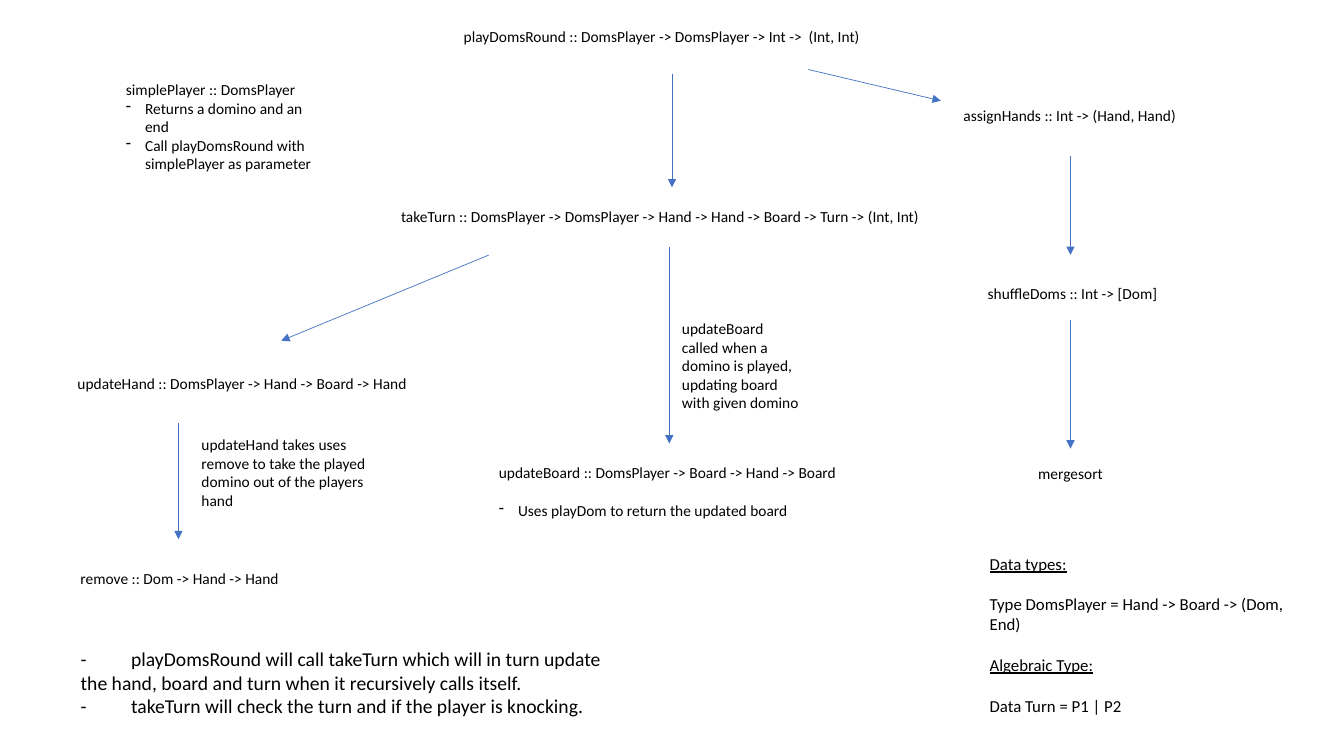
from dataclasses import dataclass, field
from typing import Any

import lxml.etree
import pptx
import pptx.dml.color
import pptx.enum.shapes
import pptx.enum.text
import pptx.oxml.ns
import pptx.util

WIDTH, HEIGHT = pptx.util.Inches(13.33), pptx.util.Inches(7.5)


@dataclass(frozen=True)
class Theme:
    font: str = "Calibri"
    ink: str = "000000"
    arrow: str = "4472C4"
    arrow_width: float = 0.5
    label: float = 11
    types: float = 12
    summary: float = 14
    line_height: float = 1.22
    dash_indent: float = 0.19
    tab_stop: float = 0.24


THEME = Theme()


@dataclass(frozen=True)
class Line:
    text: str
    bullet: bool = False
    underline: bool = False
    gap: bool = False  # one line of space above


@dataclass(frozen=True)
class Block:
    """Left, top, width and height are percentages of the slide."""
    left: float
    top: float
    width: float
    height: float
    lines: list[Line] = field(default_factory=list)
    size: float = THEME.label


@dataclass(frozen=True)
class Arrow:
    """Both ends are percentages of the slide."""
    x1: float
    y1: float
    x2: float
    y2: float


ROW, SIGNATURE = 3.87, 27.23  # height and width of a one-line signature
LEFT, SHUFFLE_COLUMN = 5.25, 79.65
LEAF_TOP = 60.67

TITLE = Block(33.75, 2.93, 32.5, ROW, [
    Line("playDomsRound :: DomsPlayer -> DomsPlayer -> Int ->  (Int, Int)")])
SUMMARY = Block(LEFT, 84.93, 40.65, 13.87, [
    Line("-\tplayDomsRound will call takeTurn which will in turn update the "
         "hand, board and turn when it recursively calls itself."),
    Line("-\ttakeTurn will check the turn and if the player is knocking."),
], THEME.summary)

BLOCKS = [
    # Function signatures
    Block(29.1, 26.8, 41.85, ROW, [
        Line("takeTurn :: DomsPlayer -> DomsPlayer -> Hand -> Hand -> Board -> Turn -> (Int, Int)")]),
    Block(36.38, LEAF_TOP, SIGNATURE, 8.8, [
        Line("updateBoard :: DomsPlayer -> Board -> Hand -> Board"),
        Line("Uses playDom to return the updated board", bullet=True, gap=True)]),
    Block(5.03, 48.8, SIGNATURE, ROW, [Line("updateHand :: DomsPlayer -> Hand -> Board -> Hand")]),
    Block(LEFT, 74.67, SIGNATURE, ROW, [Line("remove :: Dom -> Hand -> Hand")]),
    Block(70.95, 13.33, SIGNATURE, ROW, [Line("assignHands :: Int -> (Hand, Hand)")]),
    Block(72.75, 36.93, SIGNATURE, ROW, [Line("shuffleDoms :: Int -> [Dom]")]),
    Block(76.5, LEAF_TOP, 23.5, ROW, [Line("mergesort")]),
    # Explanations
    Block(8.63, 10, 15.45, 13.73, [
        Line("simplePlayer :: DomsPlayer"),
        Line("Returns a domino and an end", bullet=True),
        Line("Call playDomsRound with simplePlayer as parameter", bullet=True)]),
    Block(14.25, 56.93, 15.68, 11.2, [
        Line("updateHand takes uses remove to take the played domino out of the players hand")]),
    Block(50, 41.6, 10.43, 13.73, [
        Line("updateBoard called when a domino is played, updating board with given domino")]),
    # Data types
    Block(72.9, 72.53, 25.2, 22.93, [
        Line("Data types:", underline=True),
        Line("Type DomsPlayer = Hand -> Board -> (Dom, End)", gap=True),
        Line("Algebraic Type:", underline=True, gap=True),
        Line("Data Turn = P1 | P2", gap=True)], THEME.types),
]

ARROWS = [
    Arrow(50, 9.73, 50, 24.8),
    Arrow(49.8, 32.67, 49.8, 58.67),
    Arrow(36.38, 33.73, 20.93, 45.07),
    Arrow(13.28, 56, 13.28, 71.33),
    Arrow(60.15, 9.2, 70, 13.33),
    Arrow(SHUFFLE_COLUMN, 20.67, SHUFFLE_COLUMN, 33.73),
    Arrow(SHUFFLE_COLUMN, 42.27, SHUFFLE_COLUMN, 59.33),
]


def across(share: float) -> int:
    return round(WIDTH * share / 100)


def down(share: float) -> int:
    return round(HEIGHT * share / 100)


def apply(target: Any, formats: dict[str, Any]) -> None:
    for name, value in formats.items():
        setattr(target, name, value)


def add_xml(parent: Any, tag: str, **attributes: str) -> Any:
    return lxml.etree.SubElement(parent, pptx.oxml.ns.qn(tag), attributes)


def mark_paragraph(para: Any, line: Line) -> None:
    """Set the dash bullet, or the tab stop of a typed dash."""
    properties = para._p.get_or_add_pPr()
    indent = pptx.util.Inches(THEME.dash_indent) if line.bullet else 0
    properties.set("marL", str(indent))
    properties.set("indent", str(-indent))
    if line.bullet:
        add_xml(properties, "a:buChar", char="-")
    else:
        add_xml(properties, "a:buNone")
    if "\t" in line.text:
        tabs = add_xml(properties, "a:tabLst")
        add_xml(tabs, "a:tab", pos=str(pptx.util.Inches(THEME.tab_stop)), algn="l")


def write_block(box: Any, block: Block) -> None:
    apply(box, {"left": across(block.left), "top": down(block.top),
                "width": across(block.width), "height": down(block.height)})
    frame = box.text_frame
    apply(frame, {"word_wrap": True,
                  "auto_size": pptx.enum.text.MSO_AUTO_SIZE.SHAPE_TO_FIT_TEXT,
                  "vertical_anchor": pptx.enum.text.MSO_ANCHOR.TOP})
    for index, line in enumerate(block.lines):
        para = frame.add_paragraph() if index else frame.paragraphs[0]
        gap = block.size * THEME.line_height if line.gap else 0
        apply(para, {"alignment": pptx.enum.text.PP_ALIGN.LEFT,
                     "space_before": pptx.util.Pt(gap)})
        mark_paragraph(para, line)
        span = para.add_run()
        span.text = line.text
        apply(span.font, {"name": THEME.font, "size": pptx.util.Pt(block.size),
                          "underline": line.underline})
        span.font.color.rgb = pptx.dml.color.RGBColor.from_string(THEME.ink)


def draw_arrow(page: Any, arrow: Arrow) -> None:
    connector = page.shapes.add_connector(
        pptx.enum.shapes.MSO_CONNECTOR.STRAIGHT,
        across(arrow.x1), down(arrow.y1), across(arrow.x2), down(arrow.y2))
    connector.line.width = pptx.util.Pt(THEME.arrow_width)
    connector.line.color.rgb = pptx.dml.color.RGBColor.from_string(THEME.arrow)
    add_xml(connector.line._get_or_add_ln(), "a:tailEnd", type="triangle")
    add_xml(connector._element.spPr, "a:effectLst")


deck = pptx.Presentation()
apply(deck, {"slide_width": WIDTH, "slide_height": HEIGHT})
page = deck.slides.add_slide(deck.slide_layouts[1])

# Root function and summary list
write_block(page.shapes.title, TITLE)
write_block(page.placeholders[1], SUMMARY)

# Call tree
for block in BLOCKS:
    write_block(page.shapes.add_textbox(0, 0, 0, 0), block)
for arrow in ARROWS:
    draw_arrow(page, arrow)

deck.save("out.pptx")
